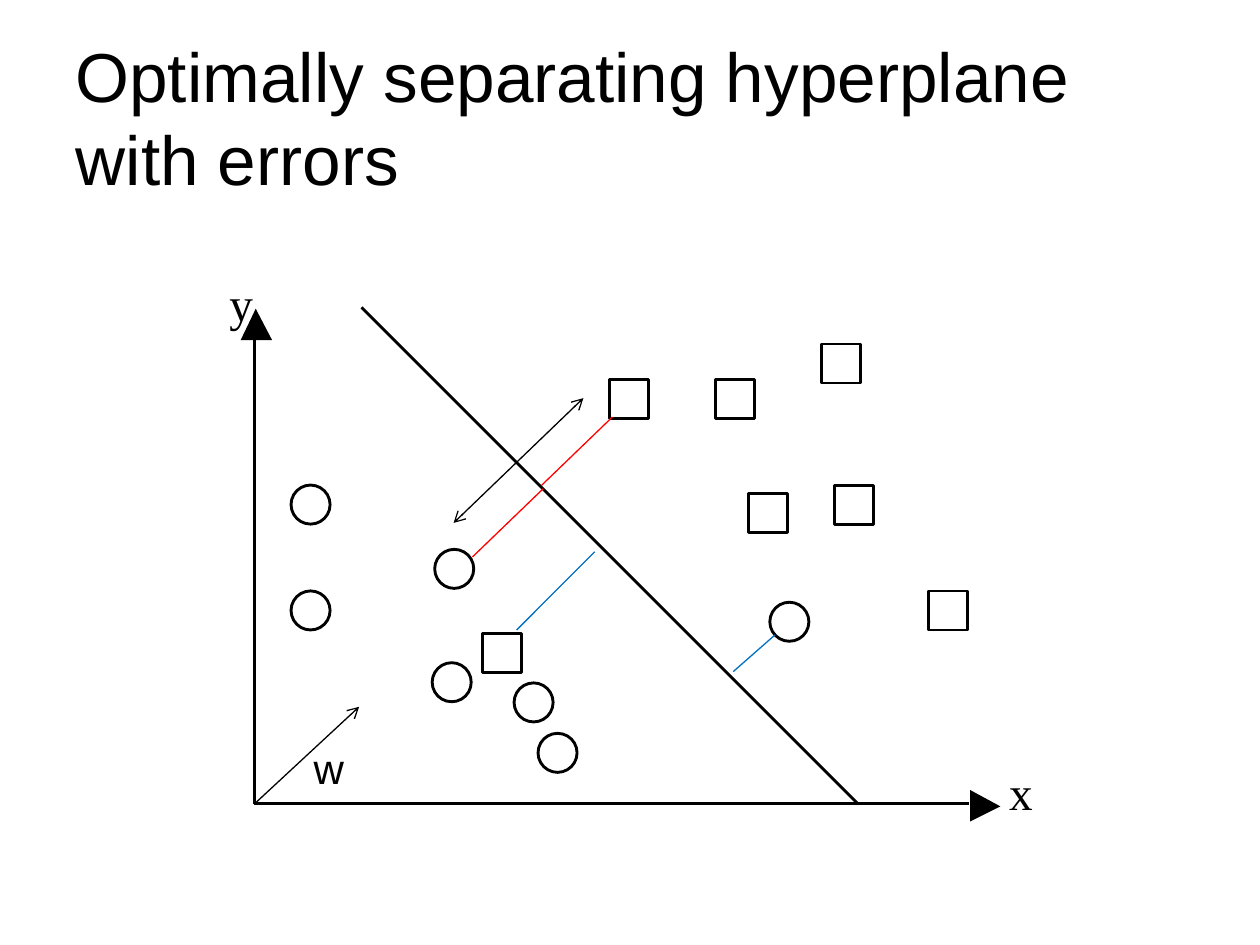
from dataclasses import dataclass

from lxml import etree
from pptx import Presentation
from pptx import util as u
from pptx.dml.color import RGBColor
from pptx.enum import shapes, text
from pptx.oxml.ns import qn


@dataclass(frozen=True)
class Theme:
    ink: str = "000000"
    paper: str = "FFFFFF"
    margin: str = "FF0000"
    error: str = "0070C0"
    sans: str = "Arial"
    serif: str = "Times New Roman"
    title_size: float = 39.6
    axis_size: float = 27
    vector_size: float = 24
    heavy: float = 1.63
    thin: float = 0.75


@dataclass(frozen=True)
class Segment:
    start: tuple[float, float]
    end: tuple[float, float]
    color: str
    weight: float
    start_arrow: bool = False
    end_arrow: bool = False


@dataclass(frozen=True)
class Marker:
    left: float
    top: float
    kind: shapes.MSO_SHAPE


THEME = Theme()
COLUMNS, ROWS = 10, 7.5
CELL = u.Inches(1)
MARKER_SIZE = 0.31
ORIGIN = (2.02, 6.38)

HYPERPLANE = Segment((2.87, 2.44), (6.81, 6.38), THEME.ink, THEME.heavy)
AXES = [
    Segment(ORIGIN, (2.02, 2.68), THEME.ink, THEME.heavy),
    Segment(ORIGIN, (7.69, 6.38), THEME.ink, THEME.heavy),
]
AXIS_TIPS = [
    [(2.16, 2.7), (2.03, 2.45), (1.91, 2.7)],
    [(7.7, 6.52), (7.94, 6.4), (7.7, 6.27)],
]
DISTANCES = [
    Segment((4.86, 3.31), (4.3, 3.85), THEME.margin, THEME.thin),
    Segment((4.31, 3.88), (3.75, 4.42), THEME.margin, THEME.thin),
    Segment(ORIGIN, (2.85, 5.61), THEME.ink, THEME.thin, end_arrow=True),
    Segment((4.63, 3.16), (3.6, 4.15), THEME.ink, THEME.thin, True, True),
    Segment((4.72, 4.38), (4.1, 5), THEME.error, THEME.thin),
    Segment((6.15, 5.04), (5.82, 5.33), THEME.error, THEME.thin),
]
CIRCLES = [(4.08, 5.42), (2.31, 4.69), (2.31, 3.85), (3.43, 5.26),
           (4.27, 5.82), (3.45, 4.36), (6.11, 4.78)]
SQUARES = [(4.84, 3.01), (5.94, 3.92), (5.68, 3.01), (6.52, 2.73),
           (7.37, 4.69), (6.62, 3.85), (3.83, 5.03)]
MARKERS = ([Marker(*spot, shapes.MSO_SHAPE.OVAL) for spot in CIRCLES]
           + [Marker(*spot, shapes.MSO_SHAPE.RECTANGLE) for spot in SQUARES])


def grid(cells: float) -> u.Emu:
    """Convert grid columns or rows to a slide length."""
    return u.Emu(round(cells * CELL))


def rgb(color: str) -> RGBColor:
    return RGBColor.from_string(color)


def write(frame, words: str, *, size: float, font: str, color: str = THEME.ink,
          inset: float | None = None, wrap: bool = False,
          anchor=text.MSO_ANCHOR.TOP) -> None:
    frame.word_wrap = wrap
    frame.vertical_anchor = anchor
    if inset is not None:
        frame.margin_left = frame.margin_right = grid(inset)
        frame.margin_top = frame.margin_bottom = grid(inset)
    paragraph = frame.paragraphs[0]
    paragraph.alignment = text.PP_ALIGN.LEFT
    run = paragraph.add_run()
    run.text = words
    run.font.size = u.Pt(size)
    run.font.name = font
    run.font.color.rgb = rgb(color)


def add_label(slide, words: str, left: float, top: float, width: float,
              height: float, **style) -> None:
    box = slide.shapes.add_textbox(*map(grid, (left, top, width, height)))
    write(box.text_frame, words, **style)


def draw_segment(slide, segment: Segment) -> None:
    line = slide.shapes.add_connector(
        shapes.MSO_CONNECTOR.STRAIGHT, *map(grid, segment.start + segment.end))
    line.line.color.rgb = rgb(segment.color)
    line.line.width = u.Pt(segment.weight)
    outline = line.line._get_or_add_ln()
    for tag, shown in (("a:headEnd", segment.start_arrow),
                       ("a:tailEnd", segment.end_arrow)):
        if shown:
            etree.SubElement(outline, qn(tag), type="arrow")
    etree.SubElement(line._element.spPr, qn("a:effectLst"))


def draw_tip(slide, corners: list[tuple[float, float]]) -> None:
    first, *others = [(grid(x), grid(y)) for x, y in corners]
    builder = slide.shapes.build_freeform(*first)
    builder.add_line_segments(others, close=True)
    tip = builder.convert_to_shape()
    tip.shadow.inherit = False
    tip.fill.solid()
    tip.fill.fore_color.rgb = rgb(THEME.ink)
    tip.line.fill.background()


def draw_marker(slide, marker: Marker) -> None:
    point = slide.shapes.add_shape(
        marker.kind,
        *map(grid, (marker.left, marker.top, MARKER_SIZE, MARKER_SIZE)))
    point.shadow.inherit = False
    point.fill.solid()
    point.fill.fore_color.rgb = rgb(THEME.paper)
    point.line.color.rgb = rgb(THEME.ink)
    point.line.width = u.Pt(THEME.heavy)


def main() -> None:
    deck = Presentation()
    deck.slide_width, deck.slide_height = grid(COLUMNS), grid(ROWS)
    slide = deck.slides.add_slide(deck.slide_layouts.get_by_name("Title Only"))

    title = slide.shapes.title
    title.left, title.top, title.width, title.height = map(
        grid, (0.5, 0.3, 9, 1.25))
    write(title.text_frame, "Optimally separating hyperplane with errors",
          size=THEME.title_size, font=THEME.sans, wrap=True,
          anchor=text.MSO_ANCHOR.MIDDLE)

    for name, left, top in (("y", 1.82, 2.18), ("x", 8.01, 6.06)):
        add_label(slide, name, left, top, 0.19, 0.45,
                  size=THEME.axis_size, font=THEME.serif, inset=0)

    draw_segment(slide, HYPERPLANE)
    for marker in MARKERS:
        draw_marker(slide, marker)
    for axis, tip in zip(AXES, AXIS_TIPS):
        draw_segment(slide, axis)
        draw_tip(slide, tip)
    for distance in DISTANCES:
        draw_segment(slide, distance)
    add_label(slide, "w", 2.39, 5.84, 0.45, 0.51,
              size=THEME.vector_size, font=THEME.sans)

    deck.save("out.pptx")


if __name__ == "__main__":
    main()
